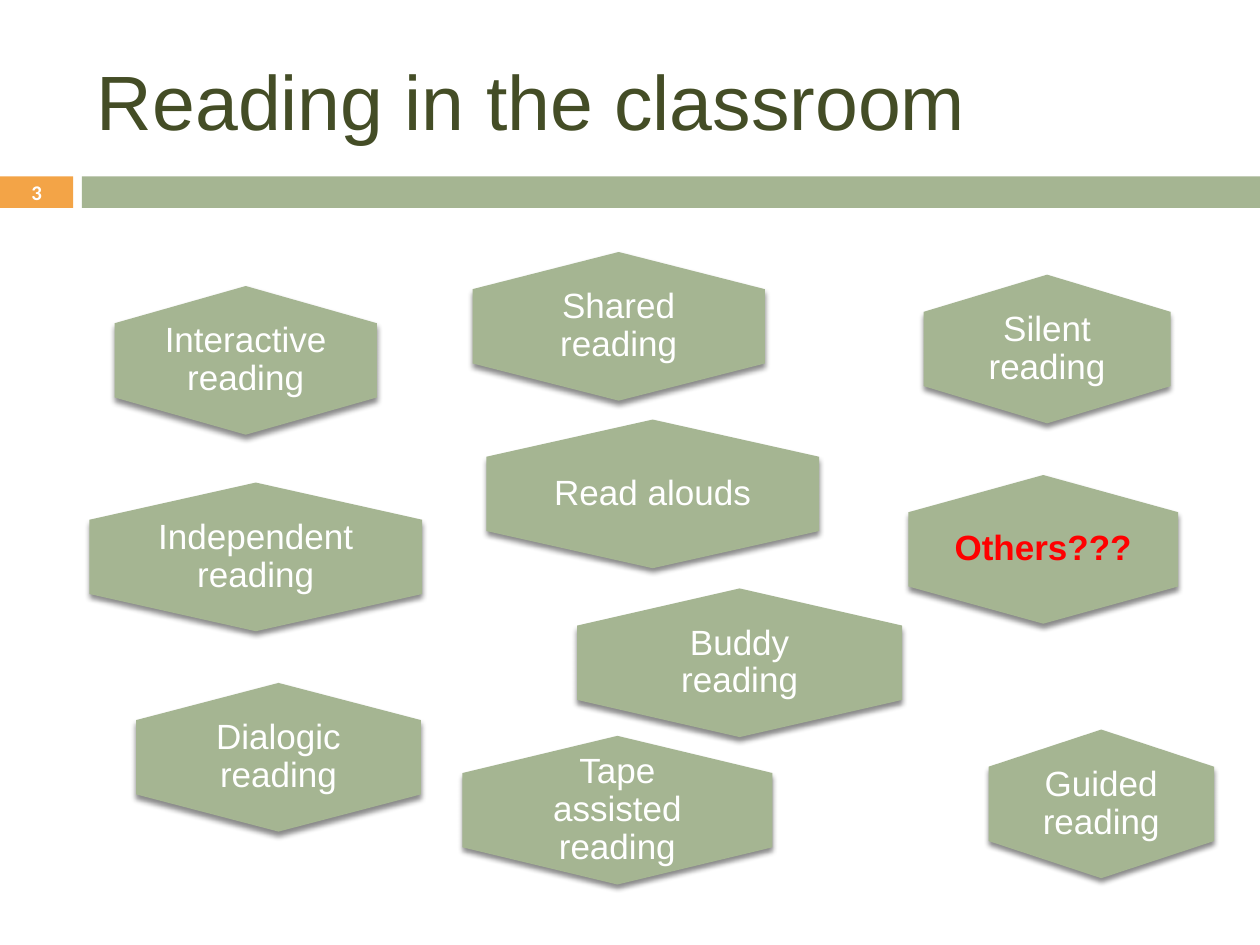
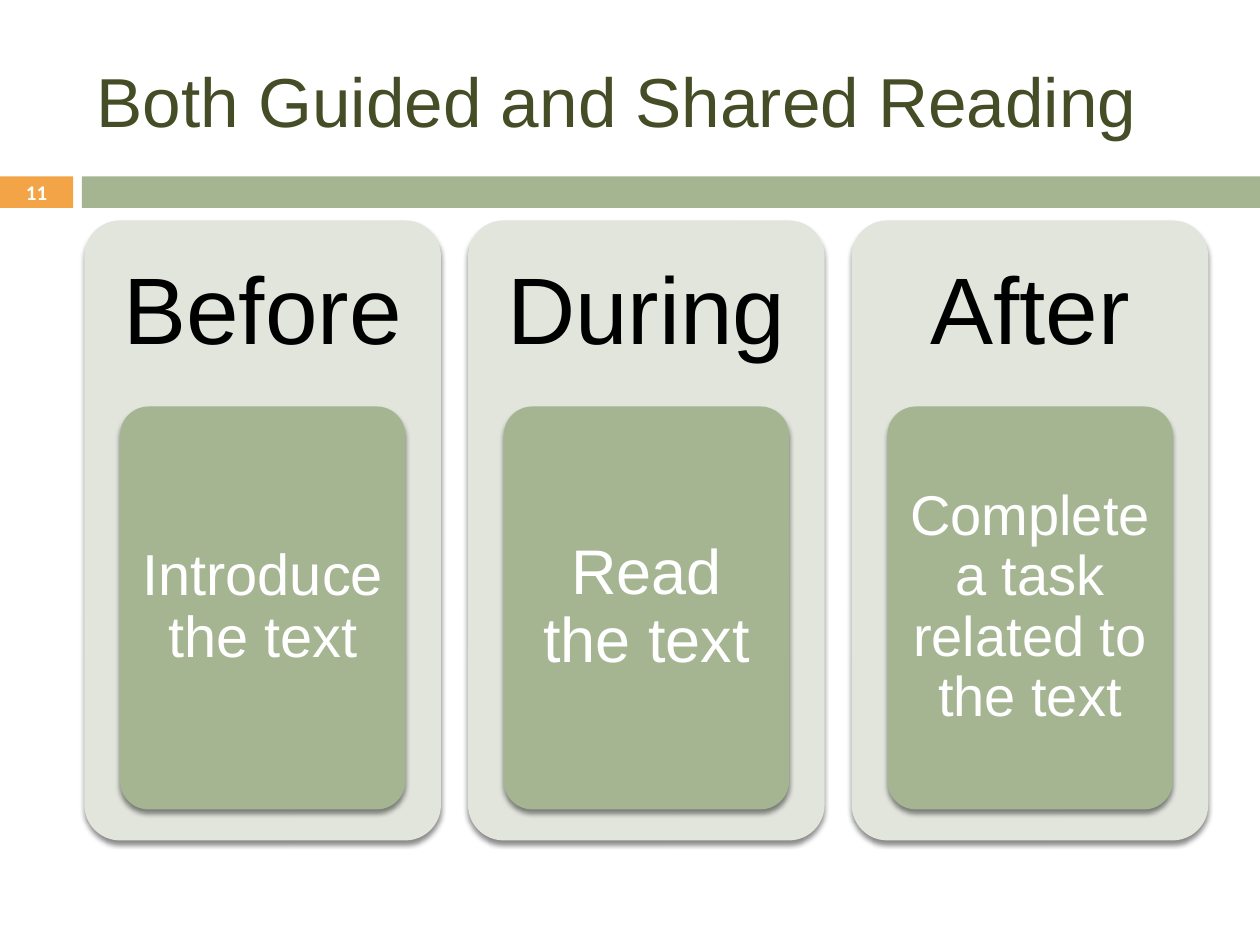
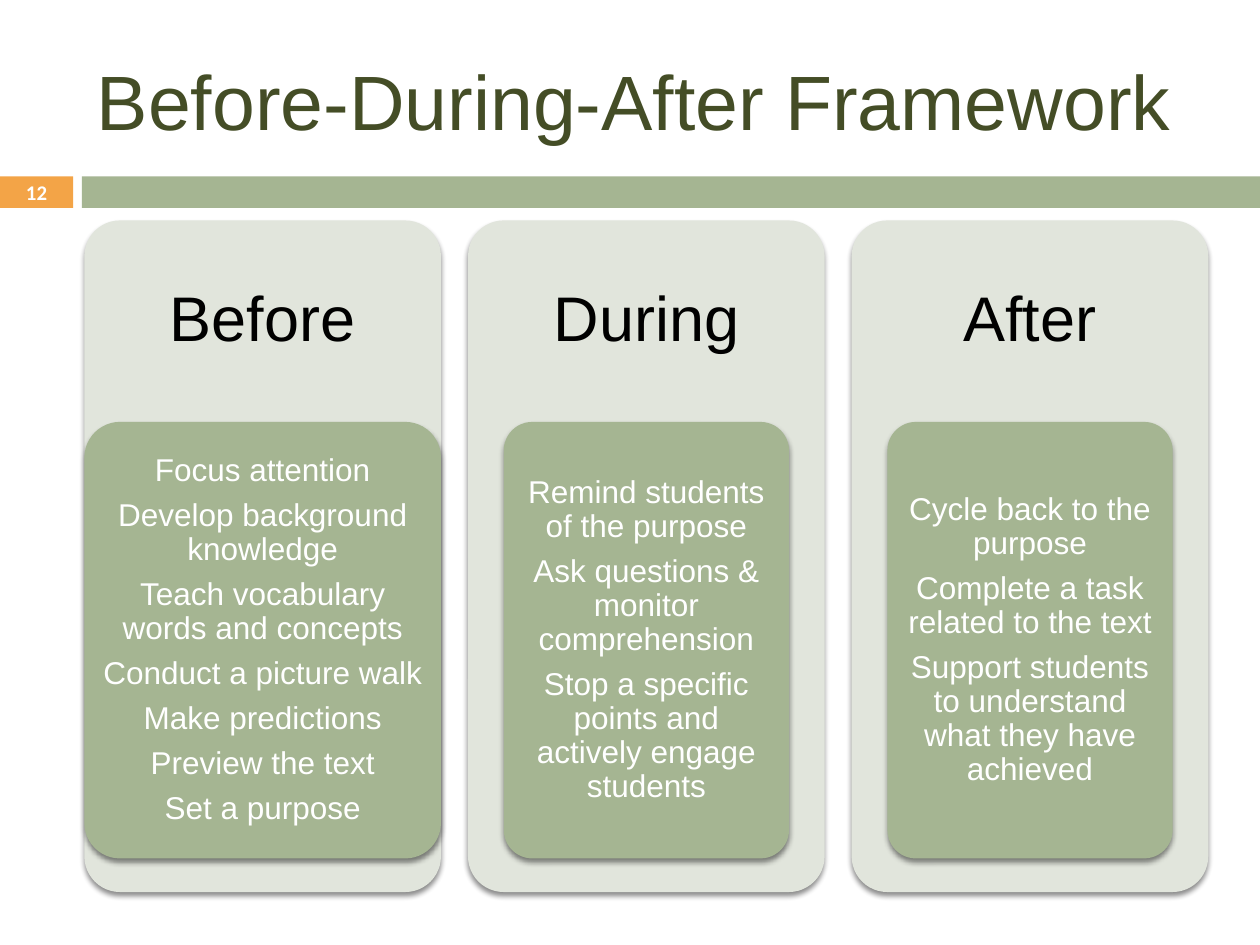
from dataclasses import dataclass

from lxml.etree import SubElement
from pptx import Presentation
from pptx.dml.color import RGBColor
from pptx.enum.shapes import MSO_SHAPE
from pptx.enum.text import MSO_ANCHOR, PP_ALIGN
from pptx.oxml.ns import qn
from pptx.util import Inches, Pt

# Grid of square cells; every position below counts columns and rows
COLUMNS, ROWS = 100, 75


@dataclass(frozen=True)
class Theme:
    # Colours
    title: str = "444D26"
    number_tab: str = "F3A447"
    green: str = "A5B592"
    panel: str = "E1E5DC"
    white: str = "FFFFFF"
    black: str = "000000"
    alert: str = "FF0000"
    # Type
    font: str = "Arial"
    number_font: str = "Calibri"
    title_size: float = 44
    number_size: float = 11.9
    hexagon_size: float = 20


def write(shape, lines, size, color, font="Arial", bold=False, align=PP_ALIGN.CENTER,
          inset=(0, 0), line_spacing=None, gap=0):
    """Fill a shape with one paragraph per line; gap is a share of the type size."""
    frame = shape.text_frame
    frame.word_wrap = True
    frame.vertical_anchor = MSO_ANCHOR.MIDDLE
    frame.margin_left = frame.margin_right = Inches(inset[0])
    frame.margin_top = frame.margin_bottom = Inches(inset[1])
    for index, line in enumerate(lines):
        paragraph = frame.add_paragraph() if index else frame.paragraphs[0]
        paragraph.alignment = align
        if line_spacing:
            paragraph.line_spacing = line_spacing
        if gap:
            paragraph.space_after = Pt(gap * size)
        run = paragraph.add_run()
        run.text = line
        run.font.name = font
        run.font.size = Pt(size)
        run.font.bold = bold
        run.font.color.rgb = RGBColor.from_string(color)


class Deck:
    def __init__(self, theme):
        self.theme = theme
        self.presentation = Presentation()
        self.presentation.slide_width = Inches(10)
        self.presentation.slide_height = Inches(7.5)
        self.slide = None

    def place(self, left, top, width, height):
        column = self.presentation.slide_width / COLUMNS
        row = self.presentation.slide_height / ROWS
        return (round(left * column), round(top * row),
                round(width * column), round(height * row))

    def shape(self, kind, area, fill, shadow=False):
        shape = self.slide.shapes.add_shape(kind, *self.place(*area))
        shape.fill.solid()
        shape.fill.fore_color.rgb = RGBColor.from_string(fill)
        shape.line.fill.background()
        shape.shadow.inherit = False
        if shadow:
            self.drop_shadow(shape)
        return shape

    def drop_shadow(self, shape):
        effects = shape._element.spPr.find(qn("a:effectLst"))
        outer = SubElement(effects, qn("a:outerShdw"), blurRad=str(Pt(3)), dist=str(Pt(2.4)),
                           dir="5400000", rotWithShape="0")
        color = SubElement(outer, qn("a:srgbClr"), val=self.theme.black)
        SubElement(color, qn("a:alpha"), val="45000")

    def text(self, area, lines, size, color, **style):
        write(self.slide.shapes.add_textbox(*self.place(*area)), lines, size, color, **style)

    def new_slide(self, title, number, title_size=None):
        theme = self.theme
        self.slide = self.presentation.slides.add_slide(self.presentation.slide_layouts[6])
        tab = self.shape(MSO_SHAPE.RECTANGLE, (0, 14, 5.8, 2.5), theme.number_tab)
        write(tab, [str(number)], theme.number_size, theme.white, font=theme.number_font, bold=True)
        self.shape(MSO_SHAPE.RECTANGLE, (6.5, 14, 93.5, 2.5), theme.green)
        self.text((6.7, 2.5, 89.2, 10.8), [title], title_size or theme.title_size, theme.title,
                  font=theme.font, align=PP_ALIGN.LEFT, inset=(0.1, 0.05))

    def hexagon(self, label, center_x, center_y, width, color=None, bold=False):
        """An upright hexagon with its label in the middle two thirds."""
        height = 11.8
        # The preset lies on its side, so its width and height swap before the turn
        shape = self.shape(MSO_SHAPE.HEXAGON,
                           (center_x - height / 2, center_y - width / 2, height, width),
                           self.theme.green, shadow=True)
        shape.rotation = 90
        label_width, label_height = width * 2 / 3, height * 2 / 3
        self.text((center_x - label_width / 2, center_y - label_height / 2,
                   label_width, label_height),
                  [label], self.theme.hexagon_size, color or self.theme.white,
                  font=self.theme.font, bold=bold, line_spacing=0.9, gap=0.35)

    def phase(self, index, height, heading, heading_size, lines, size, card_share=0.8):
        """A pale panel with a heading and a green card."""
        theme = self.theme
        left, top, width = 6.7 + 30.45 * index, 17.5, 28.3
        panel = self.shape(MSO_SHAPE.ROUNDED_RECTANGLE, (left, top, width, height),
                           theme.panel, shadow=True)
        heading_inset = heading_size / 240
        self.text((left, top, width, height * 0.3), [heading], heading_size, theme.black,
                  font=theme.font, inset=(heading_inset, heading_inset), line_spacing=0.9, gap=0.35)
        card_width = width * card_share
        card = self.shape(MSO_SHAPE.ROUNDED_RECTANGLE,
                          (left + (width - card_width) / 2, top + height * 0.3,
                           card_width, height * 0.65), theme.green, shadow=True)
        panel.adjustments[0] = card.adjustments[0] = 0.1
        write(card, lines, size, theme.white, font=theme.font,
              inset=(size / 360, size / 480), line_spacing=0.9, gap=0.35)


def kinds_of_reading(deck):
    deck.new_slide("Reading in the classroom", 3)
    # Label, centre column, centre row, width
    hexagons = [
        ("Silent reading", 83.1, 27.7, 19.6),
        ("Interactive reading", 19.5, 28.6, 20.8),
        ("Shared reading", 49.1, 25.9, 23.2),
        ("Guided reading", 87.4, 63.8, 17.9),
        ("Read alouds", 51.8, 39.2, 26.4),
        ("Independent reading", 20.3, 44.2, 26.4),
        ("Buddy reading", 58.7, 52.6, 25.8),
        ("Tape assisted reading", 49, 64.3, 24.6),
        ("Dialogic reading", 22.1, 60.1, 22.6),
    ]
    for hexagon in hexagons:
        deck.hexagon(*hexagon)
    deck.hexagon("Others???", 82.8, 43.6, 21.4, color=deck.theme.alert, bold=True)


def guided_and_shared(deck):
    deck.new_slide("Both Guided and Shared Reading", 11, title_size=39.6)
    phases = [
        ("Before", "Introduce the text", 33),
        ("During", "Read the text", 36),
        ("After", "Complete a task related to the text", 32),
    ]
    for index, (heading, task, size) in enumerate(phases):
        deck.phase(index, 49.2, heading, 54, [task], size)


def framework(deck):
    deck.new_slide("Before-During-After Framework", 12)
    # Heading, card width as a share of the panel, steps
    phases = [
        ("Before", 1, ["Focus attention", "Develop background knowledge",
                       "Teach vocabulary words and concepts", "Conduct a picture walk",
                       "Make predictions", "Preview the text", "Set a purpose"]),
        ("During", 0.8, ["Remind students of the purpose",
                         "Ask questions & monitor comprehension",
                         "Stop a specific points and actively engage students"]),
        ("After", 0.8, ["Cycle back to the purpose", "Complete a task related to the text",
                        "Support students to understand what they have achieved"]),
    ]
    for index, (heading, card_share, steps) in enumerate(phases):
        deck.phase(index, 53.3, heading, 36, steps, 18, card_share)


def main():
    deck = Deck(Theme())
    kinds_of_reading(deck)
    guided_and_shared(deck)
    framework(deck)
    deck.presentation.save("out.pptx")


if __name__ == "__main__":
    main()
